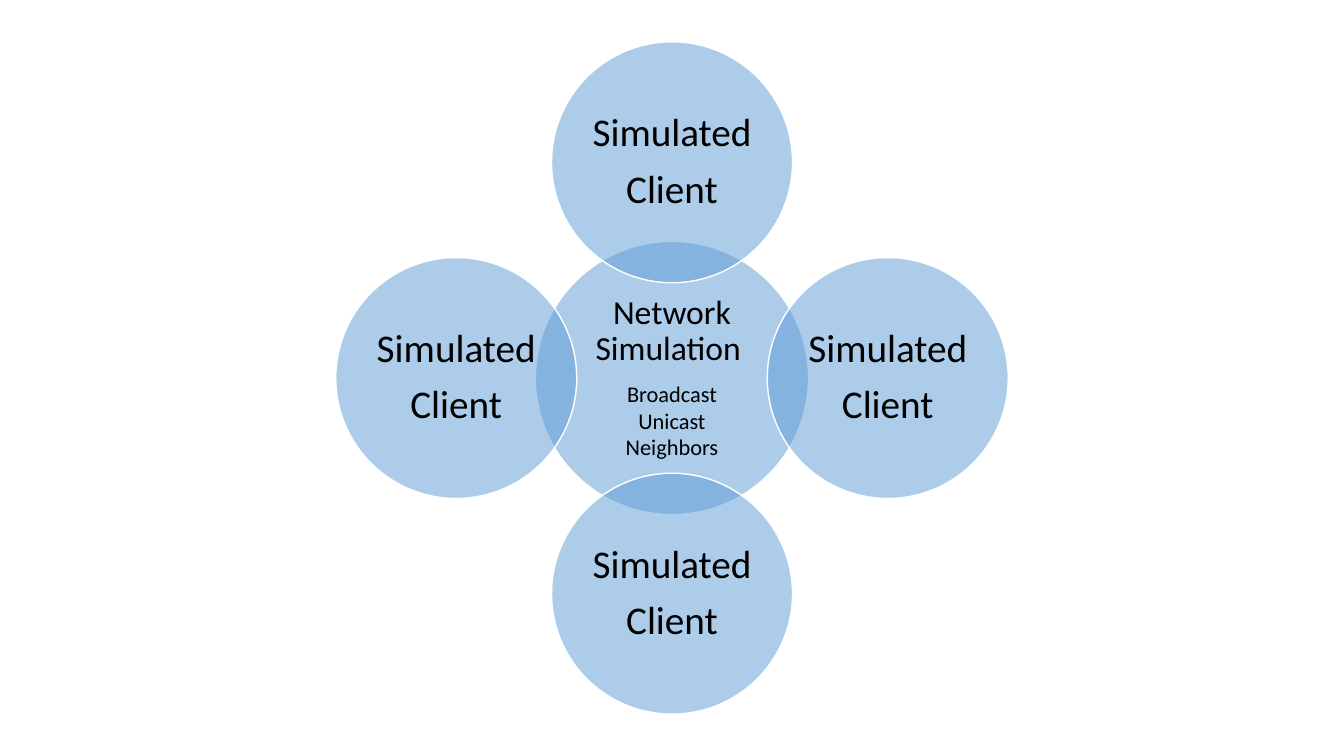
from pptx import Presentation
from pptx.dml.color import RGBColor
from pptx.enum.shapes import MSO_SHAPE
from pptx.enum.text import MSO_ANCHOR, PP_ALIGN
from pptx.oxml.ns import qn
from pptx.util import Inches, Pt
from lxml.etree import SubElement

# Content: (text, size) for each paragraph
HUB = [("Network Simulation ", 24), ("Broadcast", 16), ("Unicast", 16), ("Neighbors", 16)]
CLIENT = [("Simulated", 28), ("Client", 28)]
DIRECTIONS = [(0, -1), (1, 0), (0, 1), (-1, 0)]  # top, right, bottom, left

BLUE = RGBColor(0x5B, 0x9B, 0xD5)
WHITE = RGBColor(0xFF, 0xFF, 0xFF)
BLACK = RGBColor(0, 0, 0)
FONT = "Calibri"

# Geometry in inches
CENTER_X, CENTER_Y = 6.665, 3.75
HUB_SIZE, CLIENT_SIZE = 2.71, 2.39
ORBIT = 2.14

prs = Presentation()
prs.slide_width, prs.slide_height = Inches(13.33), Inches(7.5)
slide = prs.slides.add_slide(prs.slide_layouts[6])


def write(paragraph, text, size, heading):
    """Fill one centred paragraph; headings are tight with a gap below."""
    paragraph.alignment = PP_ALIGN.CENTER
    paragraph.line_spacing = 0.9 if heading else 1.0
    paragraph.space_after = Pt(0.35 * size if heading else 0)
    run = paragraph.add_run()
    run.text = text
    run.font.name = FONT
    run.font.size = Pt(size)
    run.font.color.rgb = BLACK


def add_circle(x, y, diameter, lines, inset):
    """Add a half-transparent circle centred on x, y with its text."""
    circle = slide.shapes.add_shape(
        MSO_SHAPE.OVAL, Inches(x - diameter / 2), Inches(y - diameter / 2),
        Inches(diameter), Inches(diameter))
    circle.shadow.inherit = False
    circle.fill.solid()
    circle.fill.fore_color.rgb = BLUE
    color = circle.fill._xPr.find(qn("a:solidFill"))[0]
    SubElement(color, qn("a:alpha"), val="50000")
    circle.line.color.rgb = WHITE
    circle.line.width = Pt(1)

    frame = circle.text_frame
    frame.word_wrap = True
    frame.vertical_anchor = MSO_ANCHOR.MIDDLE
    frame.margin_left = frame.margin_right = Inches(inset)
    frame.margin_top = frame.margin_bottom = Inches(inset)
    for index, (text, size) in enumerate(lines):
        paragraph = frame.add_paragraph() if index else frame.paragraphs[0]
        write(paragraph, text, size, heading=size > 16)


# Network in the middle, clients around it
add_circle(CENTER_X, CENTER_Y, HUB_SIZE, HUB, inset=0.03)
for dx, dy in DIRECTIONS:
    add_circle(CENTER_X + dx * ORBIT, CENTER_Y + dy * ORBIT, CLIENT_SIZE, CLIENT, inset=0.04)

prs.save("out.pptx")
